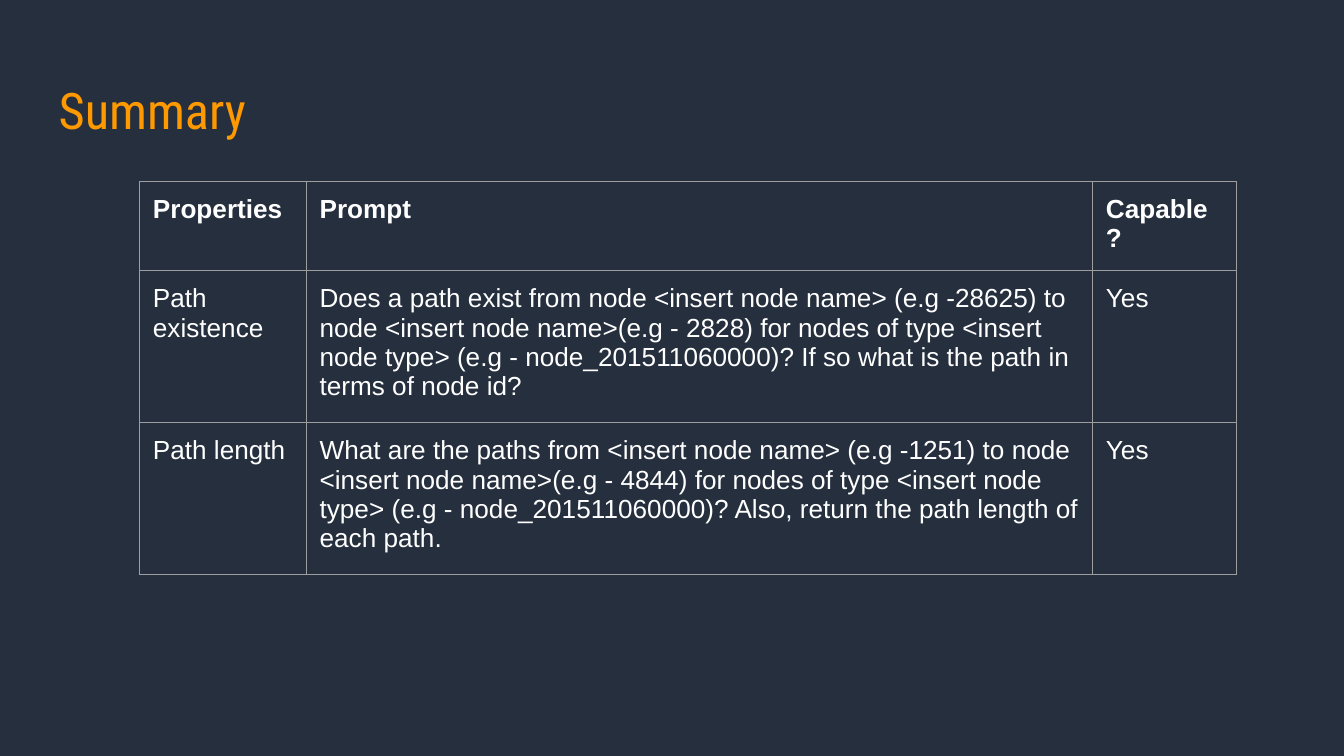
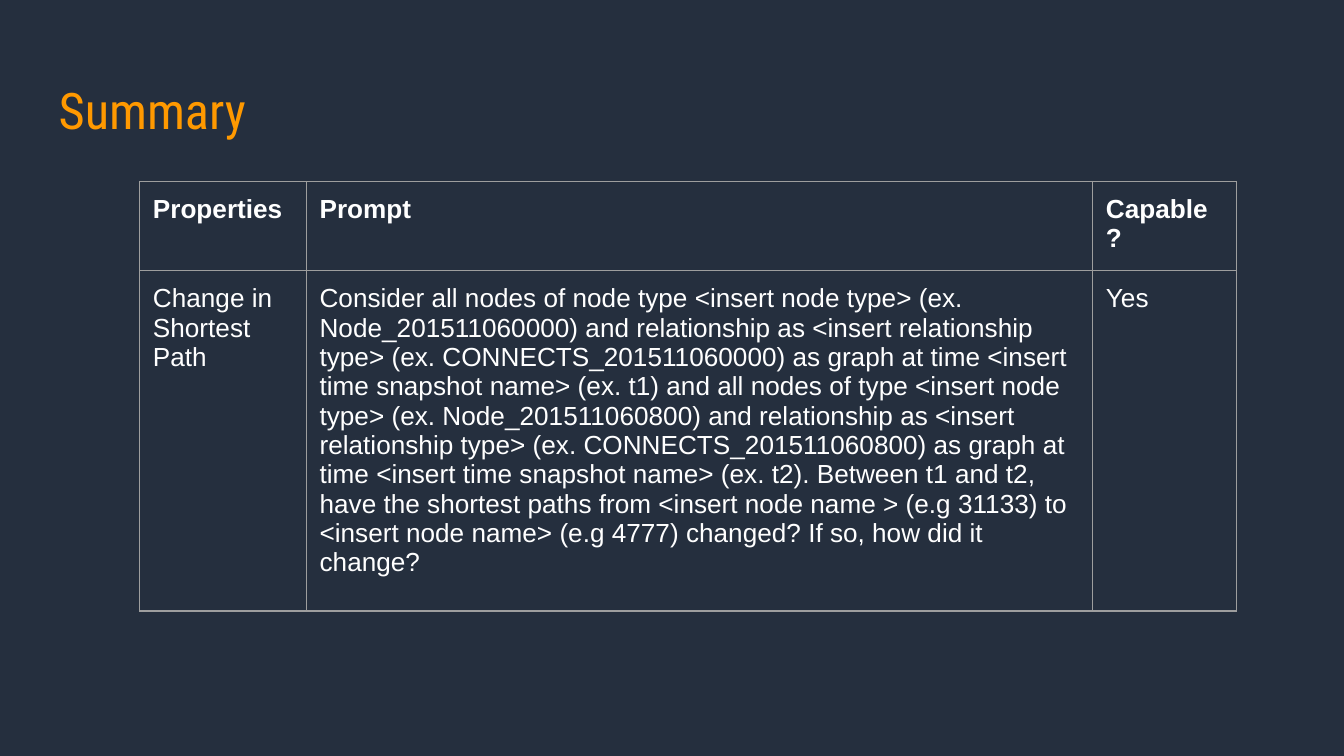
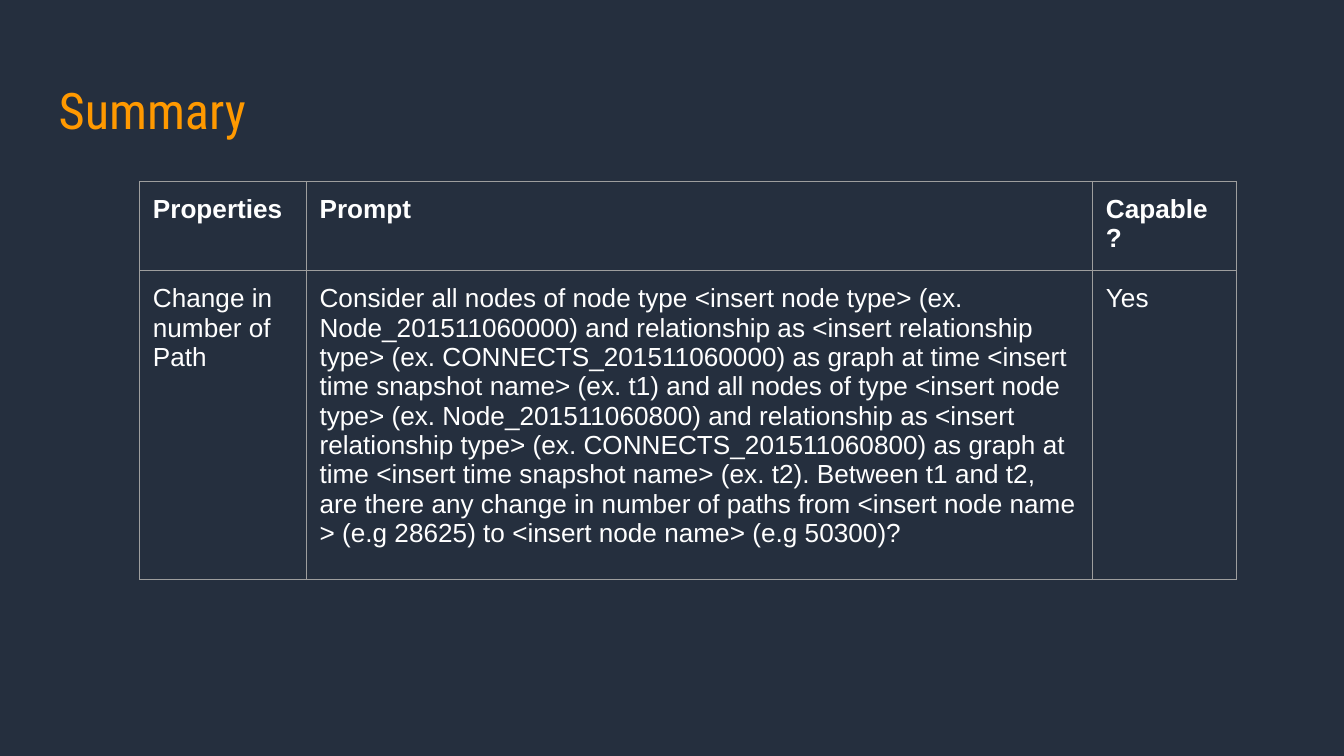
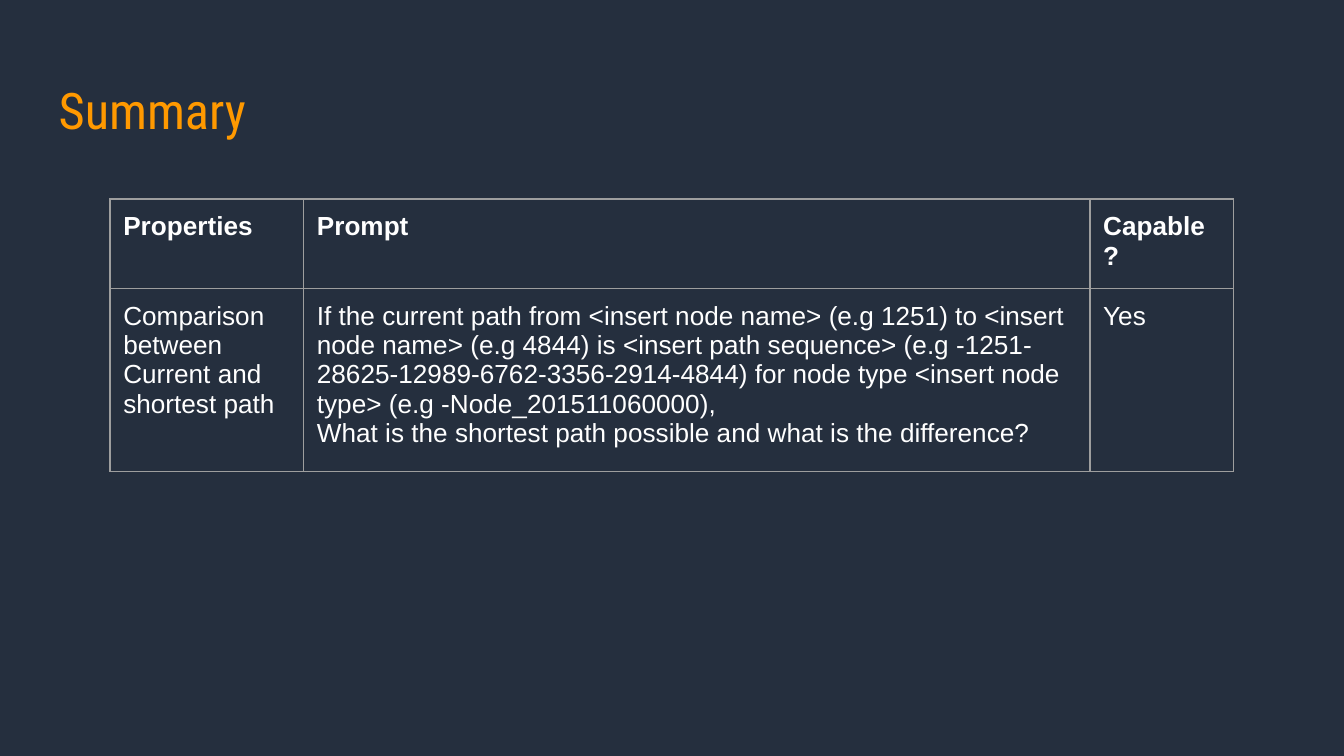
from lxml.etree import SubElement
from pptx import Presentation
from pptx.dml.color import RGBColor
from pptx.enum.text import MSO_ANCHOR
from pptx.oxml.ns import qn
from pptx.util import Cm, Pt

BACKGROUND = "252F3E"
TITLE_COLOR = "FF9900"
TEXT_COLOR = "FFFFFF"
BORDER_COLOR = "9E9E9E"
TITLE_FONT = "Roboto Condensed"
TABLE_FONT = "Arial"
INSET = Cm(0.25)
ROW_HEIGHT = 1.07
TITLE_BOX = (0.86, 1.24, 23.67, 1.6)
TABLE_BOX = (2.64, 3.43, 20.73)
COMPARISON_BOX = (2.08, 3.76, 21.24)
PROMPT_WIDTH = 14.86
CAPABLE_WIDTH = 2.72
HEADER = ("Properties", "Prompt", "Capable?")

SNAPSHOTS = (
    "Consider all nodes of node type <insert node type> (ex. Node_201511060000) "
    "and relationship as <insert relationship type> (ex. CONNECTS_201511060000) "
    "as graph at time <insert time snapshot name> (ex. t1) and all nodes of type "
    "<insert node type> (ex. Node_201511060800) and relationship as "
    "<insert relationship type> (ex. CONNECTS_201511060800) as graph at time "
    "<insert time snapshot name> (ex. t2). Between t1 and t2, "
)

SUMMARIES = [
    (TABLE_BOX, [
        ("Path existence",
         "Does a path exist from node <insert node name> (e.g -28625) to node "
         "<insert node name>(e.g - 2828) for nodes of type <insert node type> "
         "(e.g - node_201511060000)? If so what is the path in terms of node id?",
         "Yes"),
        ("Path length",
         "What are the paths from <insert node name> (e.g -1251) to node "
         "<insert node name>(e.g - 4844) for nodes of type <insert node type> "
         "(e.g - node_201511060000)? Also, return the path length of each path.",
         "Yes"),
    ]),
    (TABLE_BOX, [
        ("Change in Shortest Path",
         SNAPSHOTS + "have the shortest paths from <insert node name > (e.g 31133) "
         "to <insert node name> (e.g 4777) changed? If so, how did it change?",
         "Yes"),
    ]),
    (TABLE_BOX, [
        ("Change in number of Path",
         SNAPSHOTS + "are there any change in number of paths from "
         "<insert node name > (e.g 28625) to <insert node name> (e.g 50300)?",
         "Yes"),
    ]),
    (COMPARISON_BOX, [
        ("Comparison between Current and shortest path",
         "If the current path from <insert node name> (e.g 1251) to "
         "<insert node name> (e.g 4844) is <insert path sequence> "
         "(e.g -1251-28625-12989-6762-3356-2914-4844) for node type "
         "<insert node type> (e.g -Node_201511060000),\n"
         "What is the shortest path possible and what is the difference?",
         "Yes"),
    ]),
]


def color(value):
    return RGBColor.from_string(value)


def set_insets(target):
    target.margin_left = target.margin_right = INSET
    target.margin_top = target.margin_bottom = INSET


def write_text(text_frame, text, font_name, size, text_color, bold=False):
    text_frame.word_wrap = True
    for index, line in enumerate(text.split("\n")):
        paragraph = text_frame.add_paragraph() if index else text_frame.paragraphs[0]
        run = paragraph.add_run()
        run.text = line
        run.font.name = font_name
        run.font.size = Pt(size)
        run.font.bold = bold
        run.font.color.rgb = color(text_color)


def add_borders(cell):
    properties = cell._tc.get_or_add_tcPr()
    for side in ("a:lnL", "a:lnR", "a:lnT", "a:lnB"):
        line = SubElement(properties, qn(side), w=str(Pt(0.75)))
        fill = SubElement(line, qn("a:solidFill"))
        SubElement(fill, qn("a:srgbClr"), val=BORDER_COLOR)


def add_title(slide, box, text):
    text_frame = slide.shapes.add_textbox(*map(Cm, box)).text_frame
    set_insets(text_frame)
    text_frame.vertical_anchor = MSO_ANCHOR.TOP
    write_text(text_frame, text, TITLE_FONT, 27, TITLE_COLOR)


def add_prompt_table(slide, box, entries):
    left, top, width = box
    rows = [HEADER, *entries]
    widths = (width - PROMPT_WIDTH - CAPABLE_WIDTH, PROMPT_WIDTH, CAPABLE_WIDTH)
    table = slide.shapes.add_table(
        len(rows), len(HEADER), Cm(left), Cm(top), Cm(width), Cm(ROW_HEIGHT * len(rows))
    ).table
    table.first_row = False
    table.horz_banding = False
    for column, column_width in zip(table.columns, widths):
        column.width = Cm(column_width)
    for row_index, texts in enumerate(rows):
        table.rows[row_index].height = Cm(ROW_HEIGHT)
        for column_index, text in enumerate(texts):
            cell = table.cell(row_index, column_index)
            set_insets(cell)
            add_borders(cell)
            cell.fill.background()
            write_text(cell.text_frame, text, TABLE_FONT, 14, TEXT_COLOR, row_index == 0)


def add_summary_slide(presentation, table_box, entries):
    slide = presentation.slides.add_slide(presentation.slide_layouts[6])
    slide.background.fill.solid()
    slide.background.fill.fore_color.rgb = color(BACKGROUND)
    add_title(slide, TITLE_BOX, "Summary")
    add_prompt_table(slide, table_box, entries)


def main():
    presentation = Presentation()
    presentation.slide_width = Cm(25.4)
    presentation.slide_height = Cm(14.29)
    for table_box, entries in SUMMARIES:
        add_summary_slide(presentation, table_box, entries)
    presentation.save("out.pptx")


if __name__ == "__main__":
    main()
